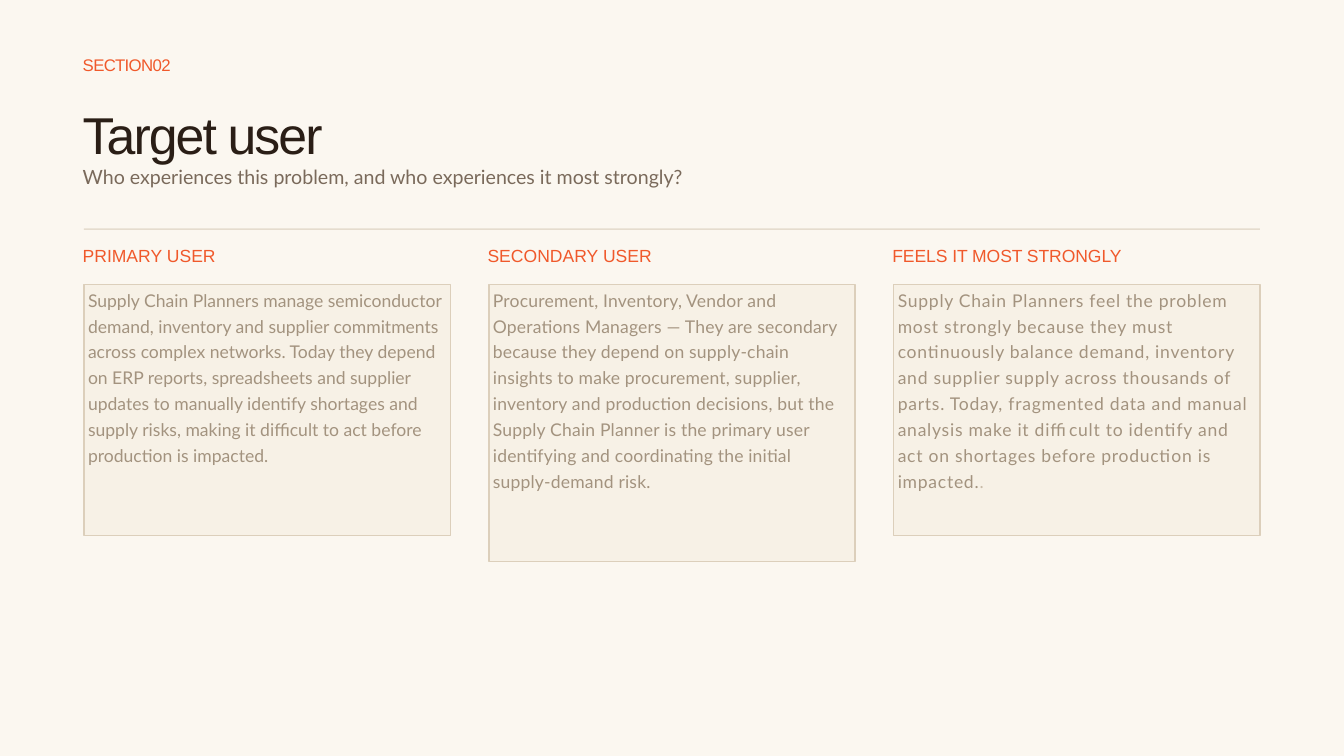
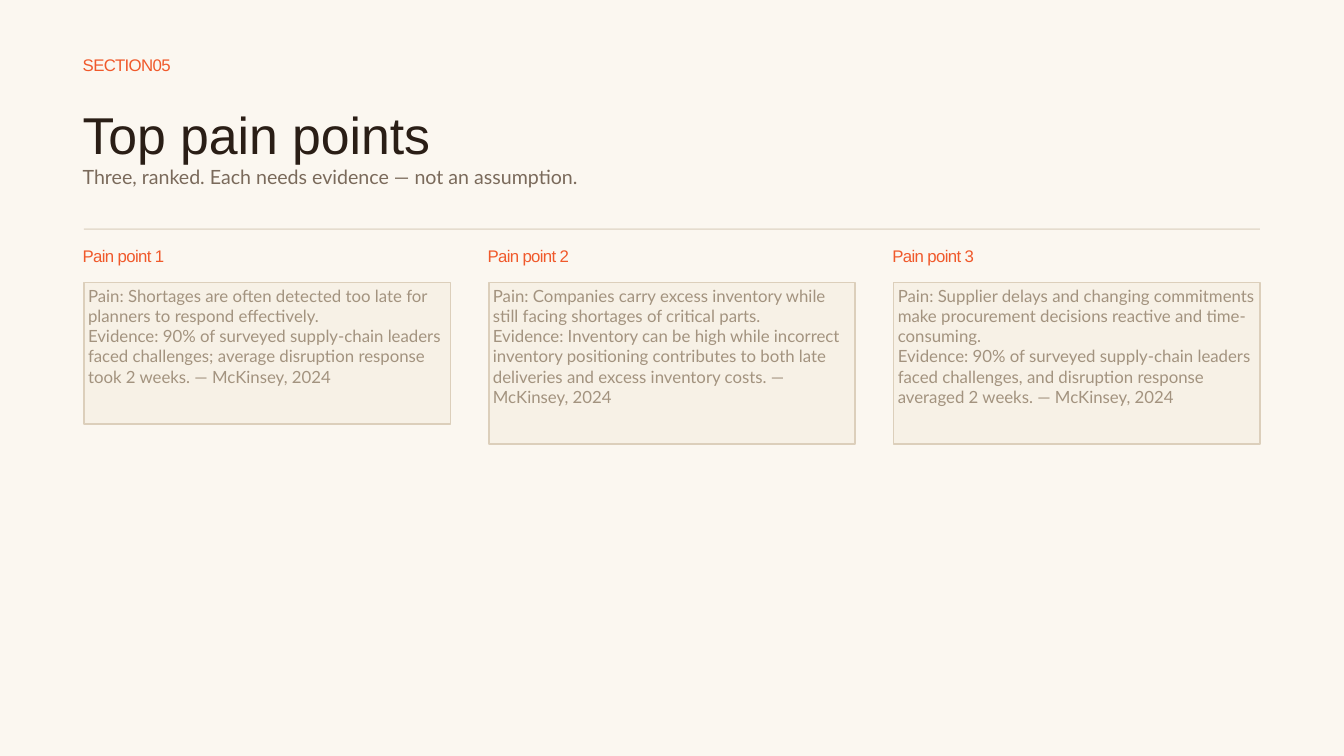
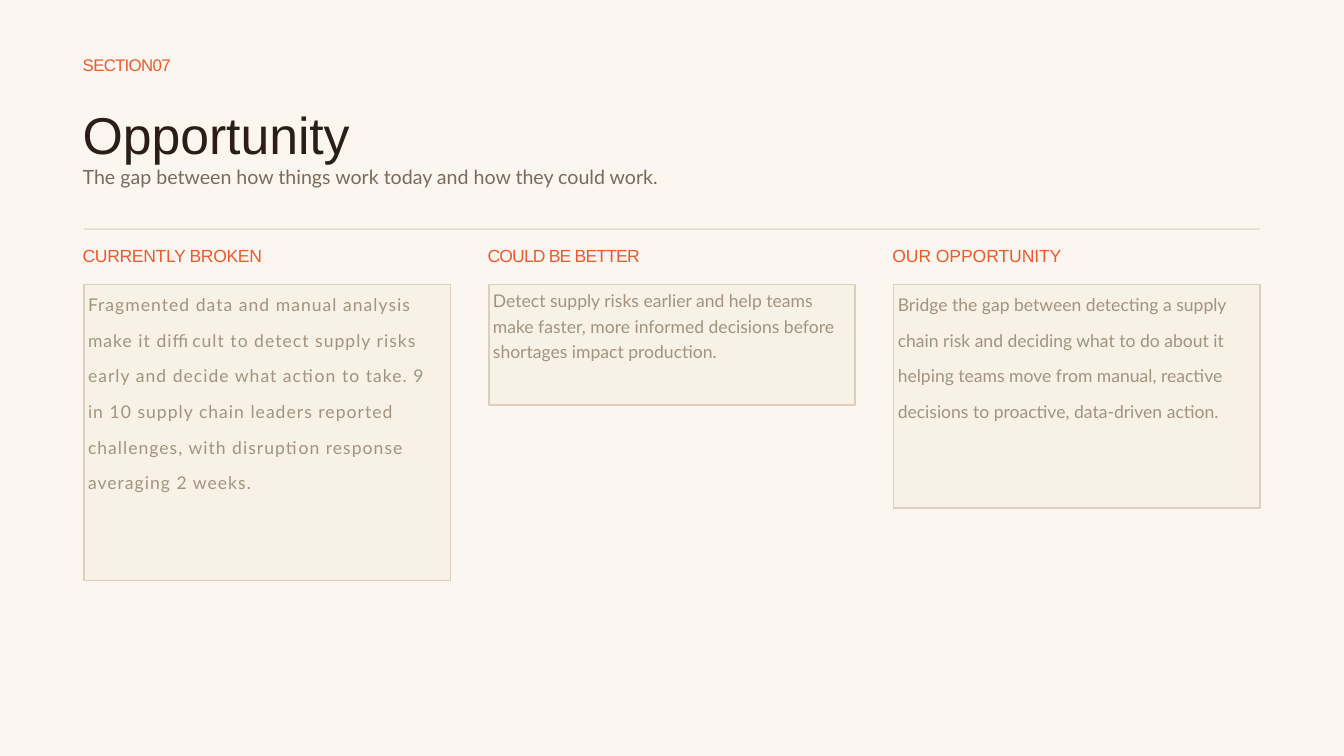
from dataclasses import dataclass

from pptx import Presentation
from pptx import util as u
from pptx.dml.color import RGBColor
from pptx.enum import shapes, text

CREAM = RGBColor(0xFB, 0xF7, 0xF0)
CARD_FILL = RGBColor(0xF7, 0xF1, 0xE6)
CARD_LINE = RGBColor(0xDC, 0xCF, 0xBB)
RULE = RGBColor(0xE5, 0xDC, 0xCE)
ORANGE = RGBColor(0xF0, 0x59, 0x2B)
INK = RGBColor(0x2A, 0x1E, 0x16)
BROWN = RGBColor(0x7A, 0x6A, 0x5B)
TAN = RGBColor(0xA3, 0x93, 0x7F)
PALE_TAN = RGBColor(0xC9, 0xBC, 0xA8)

HEADING_FONT = "Arial"
BODY_FONT = "Lato"

LEFT = 1.25
TEXT_LEFT = 1.23
CONTENT_WIDTH = 17.5
CARD_WIDTH = 5.45
COLUMN_STEP = (CONTENT_WIDTH - CARD_WIDTH) / 2
CARD_INSET = 0.06


@dataclass
class Run:
    text: str
    size: float
    font: str
    color: RGBColor
    tracking: float = 0


@dataclass
class Column:
    heading: str
    heading_width: float
    heading_tracking: float
    card_height: float
    paragraphs: list
    tracking: float = 0
    leading: float = 27.7
    text_rise: float = 0.05
    ending: str = ""


@dataclass
class Layout:
    size: float
    heading_top: float
    card_top: float


STANDARD = Layout(size=18.8, heading_top=3.65, card_top=4.23)
COMPACT = Layout(size=18, heading_top=3.66, card_top=4.2)


def add_text(container, left, top, width, height, paragraphs, inset=0, leading=None):
    box = container.add_textbox(
        u.Inches(left), u.Inches(top), u.Inches(width), u.Inches(height))
    frame = box.text_frame
    frame.word_wrap = True
    frame.auto_size = text.MSO_AUTO_SIZE.NONE
    frame.margin_left = frame.margin_right = u.Inches(inset)
    frame.margin_top = frame.margin_bottom = u.Inches(inset)
    for index, runs in enumerate(paragraphs):
        paragraph = frame.paragraphs[0] if index == 0 else frame.add_paragraph()
        paragraph.line_spacing = u.Pt(leading or 1.2 * runs[0].size)
        for item in runs:
            run = paragraph.add_run()
            run.text = item.text
            run.font.size = u.Pt(item.size)
            run.font.name = item.font
            run.font.color.rgb = item.color
            run._r.get_or_add_rPr().set("spc", str(round(item.tracking * 100)))


def add_rectangle(container, left, top, width, height, fill, line=None):
    shape = container.add_shape(
        shapes.MSO_SHAPE.RECTANGLE,
        u.Inches(left), u.Inches(top), u.Inches(width), u.Inches(height))
    shape.shadow.inherit = False
    shape.fill.solid()
    shape.fill.fore_color.rgb = fill
    if line is None:
        shape.line.fill.background()
    else:
        shape.line.color.rgb = line
        shape.line.width = u.Pt(1.5)


def add_header(slide, number, title, subtitle, title_tracking):
    section = Run(f"S E C T I O N {number}", 18, HEADING_FONT, ORANGE, -2.8)
    add_text(slide.shapes, TEXT_LEFT, 0.81, 1.88, 0.35, [[section]])
    add_text(slide.shapes, TEXT_LEFT, 1.53, 13.08, 1.55, [
        [Run(title, 55.5, HEADING_FONT, INK, title_tracking)],
        [Run(subtitle, 21, BODY_FONT, BROWN)],
    ])
    add_rectangle(slide.shapes, LEFT, 3.4, CONTENT_WIDTH, 0.02, RULE)


def add_column(slide, index, column, layout):
    offset = index * COLUMN_STEP
    heading = Run(column.heading, layout.size, HEADING_FONT, ORANGE,
                  column.heading_tracking)
    add_text(slide.shapes, TEXT_LEFT + offset, layout.heading_top,
             column.heading_width, 0.37, [[heading]])

    card = slide.shapes.add_group_shape().shapes
    left = LEFT + offset
    add_rectangle(card, left, layout.card_top, CARD_WIDTH, column.card_height,
                  CARD_FILL, CARD_LINE)
    paragraphs = [[Run(body, layout.size, BODY_FONT, TAN, column.tracking)]
                  for body in column.paragraphs]
    if column.ending:
        paragraphs[-1].append(
            Run(column.ending, layout.size, BODY_FONT, PALE_TAN, column.tracking))
    add_text(card, left, layout.card_top - column.text_rise, CARD_WIDTH,
             column.card_height + column.text_rise, paragraphs,
             CARD_INSET, column.leading)


def add_column_slide(presentation, number, title, subtitle, columns,
                     layout=STANDARD, title_tracking=-0.1):
    slide = presentation.slides.add_slide(presentation.slide_layouts[6])
    slide.background.fill.solid()
    slide.background.fill.fore_color.rgb = CREAM
    add_header(slide, number, title, subtitle, title_tracking)
    for index, column in enumerate(columns):
        add_column(slide, index, column, layout)


def pain_point(rank, card_height, pain, evidence):
    return Column(
        f"Pain point {rank}", 1.52, -0.7, card_height,
        [f"Pain: {pain}", f"Evidence: {evidence} — McKinsey, 2024"],
        leading=21.6, text_rise=0.01)


TARGET_USERS = [
    Column("PRIMARY USER", 2.24, 0, 3.74, [
        "Supply Chain Planners manage semiconductor demand, inventory and supplier "
        "commitments across complex networks. Today they depend on ERP reports, "
        "spreadsheets and supplier updates to manually identify shortages and supply "
        "risks, making it difficult to act before production is impacted."]),
    Column("SECONDARY USER", 2.75, 0, 4.13, [
        "Procurement, Inventory, Vendor and Operations Managers — They are secondary "
        "because they depend on supply-chain insights to make procurement, supplier, "
        "inventory and production decisions, but the Supply Chain Planner is the "
        "primary user identifying and coordinating the initial supply-demand risk."],
        tracking=0.2),
    Column("FEELS IT MOST STRONGLY", 3.9, -0.1, 3.74, [
        "Supply Chain Planners feel the problem most strongly because they must "
        "continuously balance demand, inventory and supplier supply across thousands "
        "of parts. Today, fragmented data and manual analysis make it difficult to "
        "identify and act on shortages before production is impacted."],
        tracking=0.8, ending="."),
]

PAIN_POINTS = [
    pain_point(
        1, 2.11,
        "Shortages are often detected too late for planners to respond effectively.",
        "90% of surveyed supply-chain leaders faced challenges; average disruption "
        "response took 2 weeks."),
    pain_point(
        2, 2.41,
        "Companies carry excess inventory while still facing shortages of critical "
        "parts.",
        "Inventory can be high while incorrect inventory positioning contributes to "
        "both late deliveries and excess inventory costs."),
    pain_point(
        3, 2.41,
        "Supplier delays and changing commitments make procurement decisions reactive "
        "and time-consuming.",
        "90% of surveyed supply-chain leaders faced challenges, and disruption "
        "response averaged 2 weeks."),
]

OPPORTUNITIES = [
    Column("CURRENTLY BROKEN", 3.09, -0.4, 4.41, [
        "Fragmented data and manual analysis make it difficult to detect supply risks "
        "early and decide what action to take. 9 in 10 supply chain leaders reported "
        "challenges, with disruption response averaging 2 weeks."],
        tracking=1.1, leading=38.2, text_rise=0.13),
    Column("COULD BE BETTER", 2.71, -0.9, 1.8, [
        "Detect supply risks earlier and help teams make faster, more informed "
        "decisions before shortages impact production."]),
    Column("OUR OPPORTUNITY", 2.9, -0.1, 3.33, [
        "Bridge the gap between detecting a supply chain risk and deciding what to do "
        "about it helping teams move from manual, reactive decisions to proactive, "
        "data-driven action."],
        leading=38.2, text_rise=0.13),
]


def main():
    presentation = Presentation()
    presentation.slide_width = u.Inches(20)
    presentation.slide_height = u.Inches(11.25)
    add_column_slide(
        presentation, "0 2", "Target user",
        "Who experiences this problem, and who experiences it most strongly?",
        TARGET_USERS, title_tracking=-2.1)
    add_column_slide(
        presentation, "0 5", "Top pain points",
        "Three, ranked. Each needs evidence — not an assumption.",
        PAIN_POINTS, layout=COMPACT)
    add_column_slide(
        presentation, "0 7", "Opportunity",
        "The gap between how things work today and how they could work.",
        OPPORTUNITIES)
    presentation.save("out.pptx")


if __name__ == "__main__":
    main()
